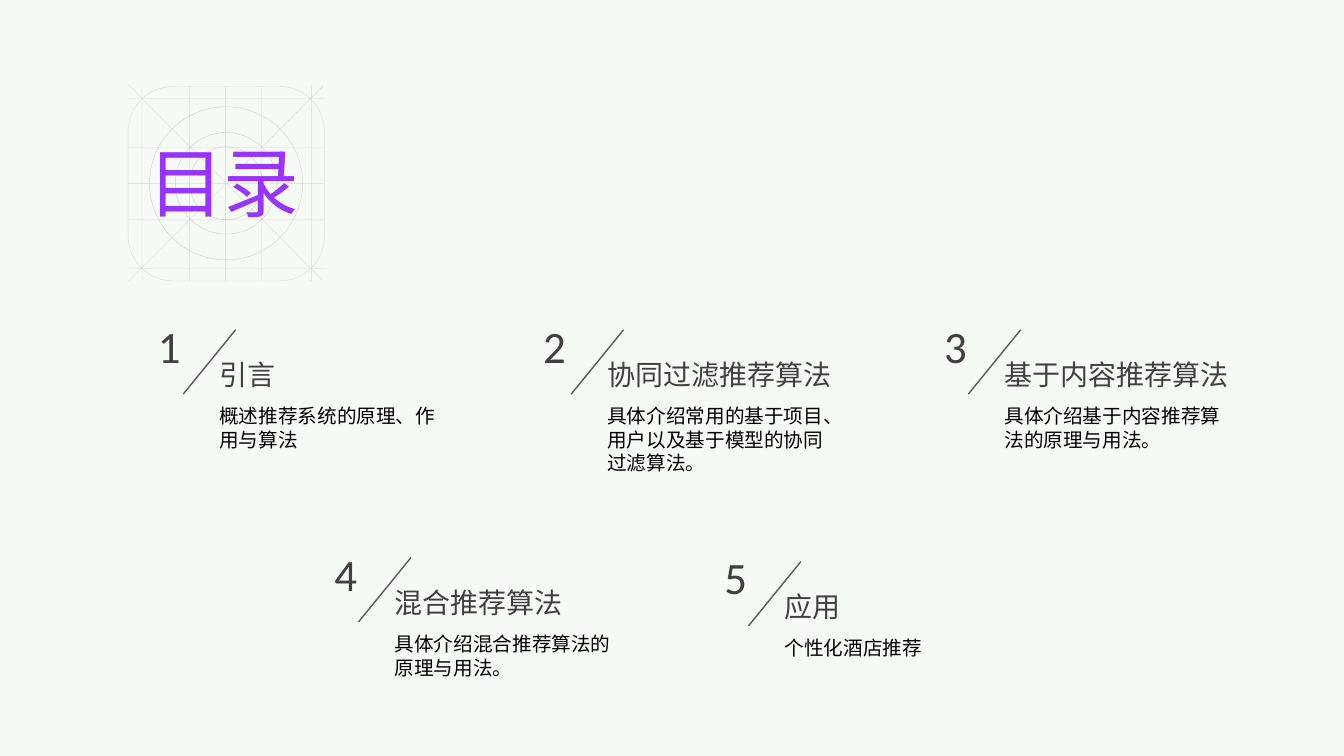
from lxml.etree import SubElement
from pptx import Presentation
from pptx.dml.color import RGBColor
from pptx.enum.shapes import MSO_CONNECTOR, MSO_SHAPE
from pptx.enum.text import MSO_ANCHOR, MSO_AUTO_SIZE, PP_ALIGN
from pptx.oxml.ns import qn
from pptx.util import Cm, Pt

COLOURS = {
    "background": "F6FAF4",
    "grid": "BFBFBF",
    "slash": "595959",
    "title": "9933FF",
    "heading": "404040",
    "body": "000000",
}
LATIN_FONT = "Calibri"
CHINESE_FONT = "Noto Sans CJK SC"

GRID_COLUMNS = (3.58, 4.78, 5.68, 6.6, 7.85)
GRID_ROWS = (2.49, 3.71, 4.62, 5.54, 6.76)
GRID_DIAGONALS = ((3.23, 2.13, 8.13, 7.06), (3.23, 7.09, 8.15, 2.16))
GRID_FRAME = (3.23, 2.18, 4.95, 4.9)
CIRCLE_CENTRE = (5.7, 4.62)
CIRCLE_RADII = (1.93, 1.28, 0.92)

CHAPTERS = (
    (3.73, 5.28, 8.31, "引言", "概述推荐系统的原理、作用与算法"),
    (13.44, 15.06, 8.31, "协同过滤推荐算法",
     "具体介绍常用的基于项目、用户以及基于模型的协同过滤算法。"),
    (23.55, 25.07, 8.31, "基于内容推荐算法", "具体介绍基于内容推荐算法的原理与用法。"),
    (8.18, 9.7, 14.05, "混合推荐算法", "具体介绍混合推荐算法的原理与用法。"),
    (18.01, 19.53, 14.15, "应用", "个性化酒店推荐"),
)


class ContentsSlide:
    """Holds the current slide and the style of its elements."""

    def __init__(self, deck):
        self.page = deck.slides.add_slide(deck.slide_layouts[5])
        background = self.page.background.fill
        background.solid()
        background.fore_color.rgb = RGBColor.from_string(COLOURS["background"])

    def style_line(self, shape, colour, width, opacity=100):
        shape.line.color.rgb = RGBColor.from_string(COLOURS[colour])
        shape.line.width = Pt(width)
        if opacity < 100:
            tint = shape._element.spPr.find(qn("a:ln")).find(
                qn("a:solidFill")).find(qn("a:srgbClr"))
            SubElement(tint, qn("a:alpha"), val=str(opacity * 1000))

    def line(self, start_x, start_y, end_x, end_y, colour, width, opacity=100):
        connector = self.page.shapes.add_connector(
            MSO_CONNECTOR.STRAIGHT, Cm(start_x), Cm(start_y), Cm(end_x), Cm(end_y))
        self.style_line(connector, colour, width, opacity)
        SubElement(connector._element.spPr, qn("a:effectLst"))

    def outline(self, kind, left, top, width, height, opacity):
        shape = self.page.shapes.add_shape(
            kind, Cm(left), Cm(top), Cm(width), Cm(height))
        shape.shadow.inherit = False
        shape.fill.background()
        self.style_line(shape, "grid", 0.25, opacity)
        return shape

    def format_text(self, box, text, size, colour, font=CHINESE_FONT):
        frame = box.text_frame
        frame.text = text
        frame.word_wrap = True
        frame.auto_size = MSO_AUTO_SIZE.NONE
        frame.vertical_anchor = MSO_ANCHOR.TOP
        para = frame.paragraphs[0]
        para.alignment = PP_ALIGN.LEFT
        span = para.runs[0]
        span.font.size = Pt(size)
        span.font.name = font
        span.font.color.rgb = RGBColor.from_string(COLOURS[colour])
        SubElement(span.font._element, qn("a:ea"), typeface=CHINESE_FONT)

    def text(self, left, top, width, height, text, size, colour, font=CHINESE_FONT):
        box = self.page.shapes.add_textbox(Cm(left), Cm(top), Cm(width), Cm(height))
        self.format_text(box, text, size, colour, font)

    def title(self, left, top, width, height, text):
        box = self.page.shapes.title
        box.left, box.top, box.width, box.height = (
            Cm(left), Cm(top), Cm(width), Cm(height))
        self.format_text(box, text, 54, "title")
        self.page.shapes._spTree.append(box._element)

    def emblem(self):
        centre_x, centre_y = CIRCLE_CENTRE
        for radius in CIRCLE_RADII:
            self.outline(MSO_SHAPE.OVAL, centre_x - radius, centre_y - radius,
                         2 * radius, 2 * radius, 77)
        frame = self.outline(MSO_SHAPE.ROUNDED_RECTANGLE, *GRID_FRAME, 52)
        frame.adjustments[0] = 0.23
        left, top, width, height = GRID_FRAME
        columns = [(x, top, x, top + height) for x in GRID_COLUMNS]
        rows = [(left, y, left + width, y) for y in GRID_ROWS]
        for ends in (*columns, *rows, *GRID_DIAGONALS):
            self.line(*ends, "grid", 0.25, 52)

    def chapter(self, number, number_left, left, top, heading, summary):
        self.text(number_left, top - 0.41, 1.65, 1.62,
                  str(number), 32, "heading", LATIN_FONT)
        self.line(left + 0.66, top, left - 0.66, top + 1.62, "slash", 1)
        self.text(left, top + 0.58, 6.43, 1.11, heading, 20, "heading")
        self.text(left, top + 1.75, 6.43, 2.03, summary, 14, "body")


def main():
    deck = Presentation()
    deck.slide_width = Cm(33.88)
    deck.slide_height = Cm(19.05)
    contents = ContentsSlide(deck)
    contents.emblem()
    contents.title(3.48, 3.3, 4.52, 2.54, "目录")
    for number, chapter in enumerate(CHAPTERS, start=1):
        contents.chapter(number, *chapter)
    deck.save("out.pptx")


if __name__ == "__main__":
    main()
